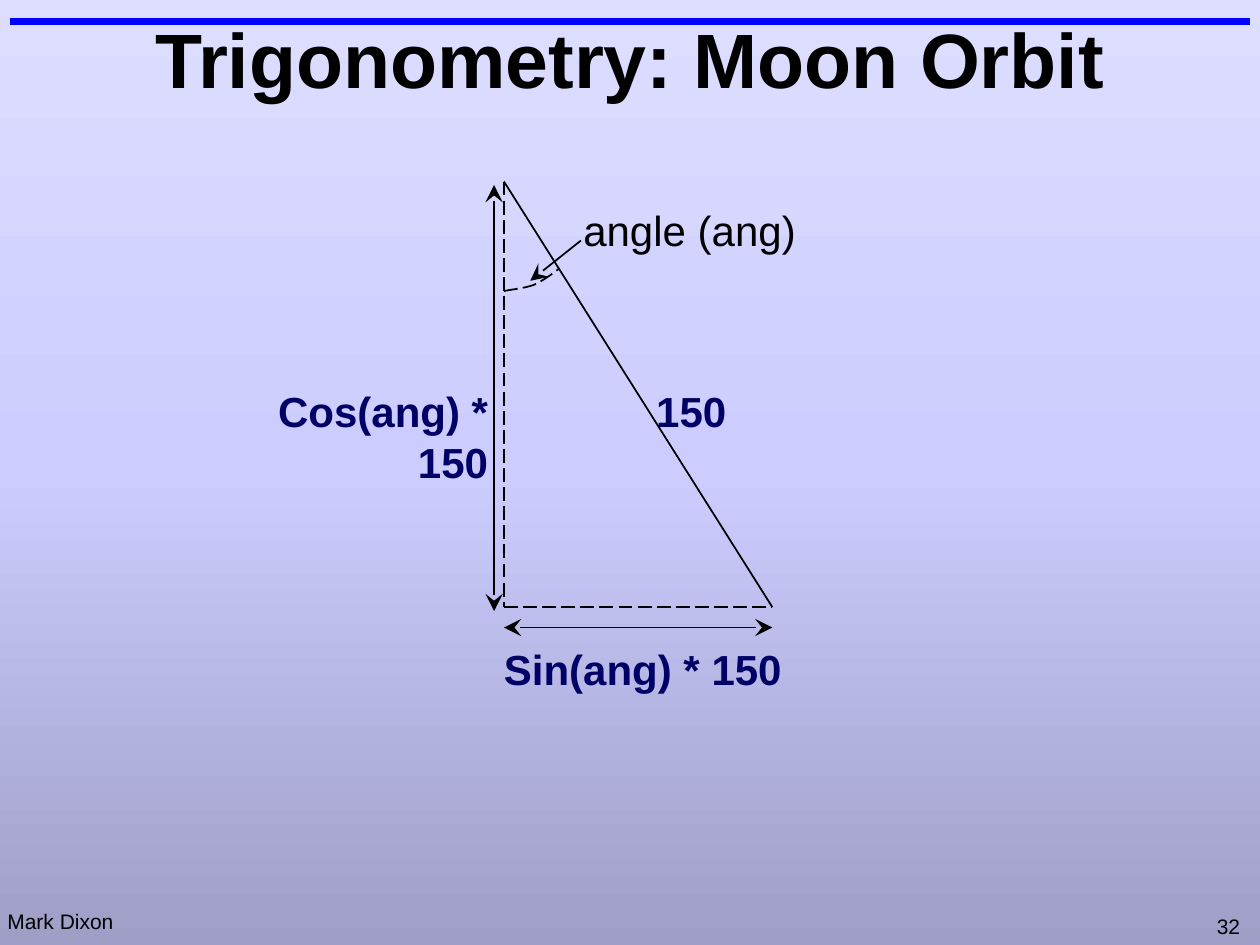
"""Build the slide on the trigonometry of the Moon's orbit."""
from copy import deepcopy

from lxml import etree
from pptx import Presentation
from pptx import util as u
from pptx.dml.color import RGBColor
from pptx.enum import dml, shapes, text
from pptx.oxml.ns import qn

COLORS = {"black": "000000", "navy": "000066", "rule": "0000FF",
          "top": "DDDDFF", "middle": "CCCCFF", "bottom": "9E9EC6"}
LEFT, RIGHT, TOP, BASE = 10.16, 15.57, 3.66, 12.24
HEIGHT_X, WIDTH_Y = 9.96, 12.65

# x1, y1, x2, y2, colour, points, dashed, arrowheads
LINES = [
    (0.2, 0.43, 25.2, 0.43, "rule", 4, False, ()),
    (LEFT, TOP, RIGHT, BASE, "black", 1, False, ()),
    (LEFT, TOP, LEFT, BASE, "black", 1, True, ()),
    (LEFT, BASE, RIGHT, BASE, "black", 1, True, ()),
    (HEIGHT_X, 12.32, HEIGHT_X, 3.73, "black", 0.75, False, ("headEnd", "tailEnd")),
    (LEFT, WIDTH_Y, RIGHT, WIDTH_Y, "black", 0.75, False, ("headEnd", "tailEnd")),
    (11.71, 4.85, 10.69, 5.66, "black", 1, False, ("tailEnd",)),
]
ARC = [
    ((LEFT, 5.87), (10.26, 5.84), (10.57, 5.82), (10.77, 5.74)),
    ((10.77, 5.74), (10.95, 5.66), (11.18, 5.49), (11.28, 5.41)),
]
TEXTS = [
    ("Mark Dixon", -0.1, 18.19, 2.64, 0.76, 12, "black", False, "LEFT"),
    ("32", 24.28, 18.29, 1.02, 0.76, 12, "black", False, "LEFT"),
    ("Trigonometry: Moon Orbit", 0.43, -0.43, 24.56, 3.18, 44, "black", True, "CENTER"),
    ("Sin(ang) * 150", 9.91, 12.85, 6.1, 1.27, 24, "navy", True, "LEFT"),
    ("Cos(ang) * 150", 3.71, 7.65, 6.38, 1.27, 24, "navy", True, "RIGHT"),
    ("angle (ang)", 11.51, 3.99, 4.8, 1.27, 24, "black", False, "LEFT"),
    ("150", 12.98, 7.65, 1.93, 1.27, 24, "navy", True, "LEFT"),
]


def rgb(name):
    return RGBColor.from_string(COLORS[name])


def paint_background(s):
    fill = s.background.fill
    fill.gradient()
    fill.gradient_angle = 270
    last = fill.gradient_stops[1]._gs
    last.addprevious(deepcopy(last))
    for stop, (pos, name) in zip(fill.gradient_stops,
                                 ((0, "top"), (0.5, "middle"), (1, "bottom"))):
        stop.position = pos
        stop.color.rgb = rgb(name)


def style_line(line, color, width, dashed):
    line.color.rgb = rgb(color)
    line.width = u.Pt(width)
    if dashed:
        line.dash_style = dml.MSO_LINE.LONG_DASH


def add_line(s, x1, y1, x2, y2, color, width, dashed, heads):
    c = s.shapes.add_connector(shapes.MSO_CONNECTOR.STRAIGHT,
                               u.Cm(x1), u.Cm(y1), u.Cm(x2), u.Cm(y2))
    style_line(c.line, color, width, dashed)
    ln = c.line._get_or_add_ln()
    for head in heads:
        etree.SubElement(ln, qn("a:" + head), type="stealth", w="lg", len="lg")
    etree.SubElement(c._element.spPr, qn("a:effectLst"))


def bezier(curve, t):
    weights = ((1 - t) ** 3, 3 * t * (1 - t) ** 2, 3 * t * t * (1 - t), t ** 3)
    return tuple(u.Cm(sum(w * pt[i] for w, pt in zip(weights, curve))) for i in (0, 1))


def add_arc(s, steps=8):
    points = [bezier(curve, n / steps) for curve in ARC for n in range(1, steps + 1)]
    builder = s.shapes.build_freeform(*bezier(ARC[0], 0))
    builder.add_line_segments(points, close=False)
    sp = builder.convert_to_shape()
    sp.shadow.inherit = False
    sp.fill.background()
    style_line(sp.line, "black", 1, True)


def add_text(s, words, x, y, w, h, size, color, bold, align):
    tf = s.shapes.add_textbox(u.Cm(x), u.Cm(y), u.Cm(w), u.Cm(h)).text_frame
    title = align == "CENTER"
    tf.word_wrap = title
    tf.vertical_anchor = text.MSO_ANCHOR.MIDDLE if title else text.MSO_ANCHOR.TOP
    p = tf.paragraphs[0]
    p.alignment = getattr(text.PP_ALIGN, align)
    r = p.add_run()
    r.text = words
    r.font.name, r.font.size, r.font.bold = "Arial", u.Pt(size), bold
    r.font.color.rgb = rgb(color)


def main():
    prs = Presentation()
    prs.slide_width, prs.slide_height = u.Cm(25.4), u.Cm(19.05)
    s = prs.slides.add_slide(prs.slide_layouts[6])
    paint_background(s)
    for line in LINES:
        add_line(s, *line)
    add_arc(s)
    for item in TEXTS:
        add_text(s, *item)
    prs.save("out.pptx")


if __name__ == "__main__":
    main()
